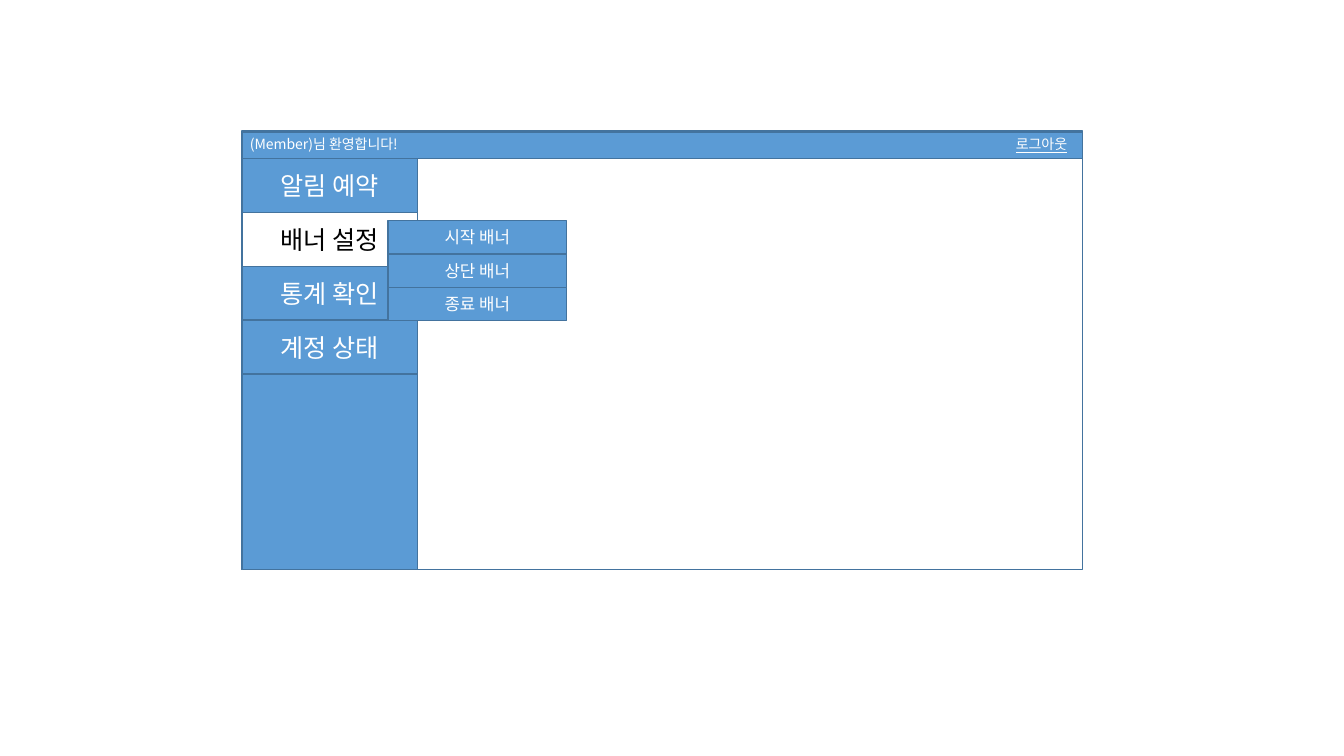
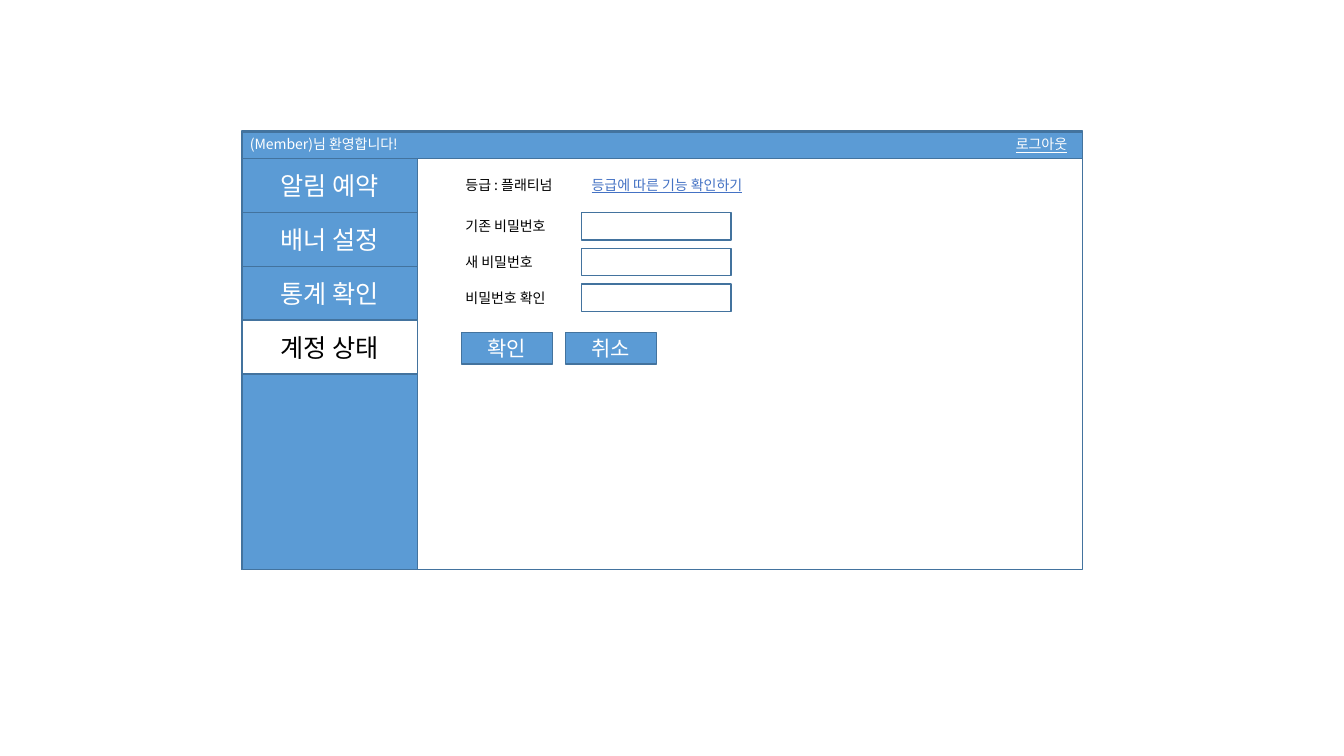
from pptx import Presentation
from pptx.dml.color import RGBColor
from pptx.enum.shapes import MSO_SHAPE
from pptx.enum.text import MSO_ANCHOR, MSO_AUTO_SIZE, PP_ALIGN
from pptx.oxml.ns import qn
from pptx.util import Cm, Pt
from lxml.etree import SubElement

# Shared style
FONT = "Noto Sans CJK KR"
BLUE, EDGE, LINK = "5B9BD5", "43739E", "4472C4"
WHITE, BLACK = "FFFFFF", "000000"

# Shared window geometry, in centimetres
WINDOW_X, WINDOW_Y, WINDOW_W, WINDOW_H = 6.1, 3.3, 21.18, 11.05
BODY_Y, SIDEBAR_W, MENU_H = 3.99, 4.42, 1.36
LINE_H = 0.69
MENU = ["알림 예약", "배너 설정", "통계 확인", "계정 상태"]


def color(hex_code):
    return RGBColor.from_string(hex_code)


def write(frame, text, size, ink, align=PP_ALIGN.LEFT, underline=None):
    paragraph = frame.paragraphs[0]
    paragraph.alignment = align
    run = paragraph.add_run()
    run.text = text
    formats = {"name": FONT, "size": Pt(size), "underline": underline}
    for name, value in formats.items():
        setattr(run.font, name, value)
    run.font.color.rgb = color(ink)
    # Korean glyphs take the East Asian typeface
    SubElement(run.font._element, qn("a:ea"), typeface=FONT)


def add_box(slide, x, y, w, h, fill=BLUE, text="", size=18, ink=WHITE):
    box = slide.shapes.add_shape(MSO_SHAPE.RECTANGLE, Cm(x), Cm(y), Cm(w), Cm(h))
    box.shadow.inherit = False
    if fill:
        box.fill.solid()
        box.fill.fore_color.rgb = color(fill)
    else:
        box.fill.background()
    box.line.color.rgb = color(EDGE)
    box.line.width = Pt(1)
    if text:
        box.text_frame.vertical_anchor = MSO_ANCHOR.MIDDLE
        write(box.text_frame, text, size, ink, PP_ALIGN.CENTER)


def add_label(slide, x, y, w, text, ink=BLACK, underline=None):
    label = slide.shapes.add_textbox(Cm(x), Cm(y), Cm(w), Cm(LINE_H))
    formats = {"word_wrap": False, "auto_size": MSO_AUTO_SIZE.SHAPE_TO_FIT_TEXT}
    for name, value in formats.items():
        setattr(label.text_frame, name, value)
    write(label.text_frame, text, 10, ink, underline=underline)


def add_window(deck, active):
    """Window frame, top bar and side menu with one active entry."""
    slide = deck.slides.add_slide(deck.slide_layouts[6])
    add_box(slide, WINDOW_X, WINDOW_Y, WINDOW_W, WINDOW_H, fill=None)
    add_box(slide, WINDOW_X, BODY_Y, SIDEBAR_W, WINDOW_Y + WINDOW_H - BODY_Y)
    add_box(slide, WINDOW_X, 3.33, WINDOW_W, 0.66)
    add_label(slide, 6.05, WINDOW_Y, 4.45, "(Member)님 환영합니다!", WHITE)
    add_label(slide, 25.35, WINDOW_Y, 1.93, "로그아웃", WHITE, underline=True)
    for row, entry in enumerate(MENU):
        fill, ink = (WHITE, BLACK) if entry == active else (BLUE, WHITE)
        add_box(slide, WINDOW_X, BODY_Y + row * MENU_H, SIDEBAR_W, MENU_H,
                fill, entry, ink=ink)
    return slide


def add_banner_menu(slide):
    height = 0.84
    for row, banner in enumerate(["시작 배너", "상단 배너", "종료 배너"]):
        add_box(slide, 9.78, 5.56 + row * height, 4.5, height, text=banner, size=12)


def add_account_form(slide):
    label_x, field_x = 11.48, 14.66
    # Membership grade
    add_label(slide, label_x, 4.32, 2.97, "등급 : 플래티넘")
    add_label(slide, field_x, 4.32, 4.8, "등급에 따른 기능 확인하기", LINK, underline=True)
    # Password fields
    passwords = [("기존 비밀번호", 2.9), ("새 비밀번호", 2.54), ("비밀번호 확인", 2.77)]
    for row, (password, width) in enumerate(passwords):
        y = 5.36 + row * 0.9
        add_label(slide, label_x, y, width, password)
        add_box(slide, field_x, y, 3.76, LINE_H, WHITE)
    # Buttons
    for column, action in enumerate(["확인", "취소"]):
        add_box(slide, 11.63 + column * 2.62, 8.38, 2.29, 0.79, text=action, size=15)


def main():
    deck = Presentation()
    deck.slide_width, deck.slide_height = Cm(33.87), Cm(19.05)
    add_banner_menu(add_window(deck, "배너 설정"))
    add_account_form(add_window(deck, "계정 상태"))
    deck.save("out.pptx")


main()
